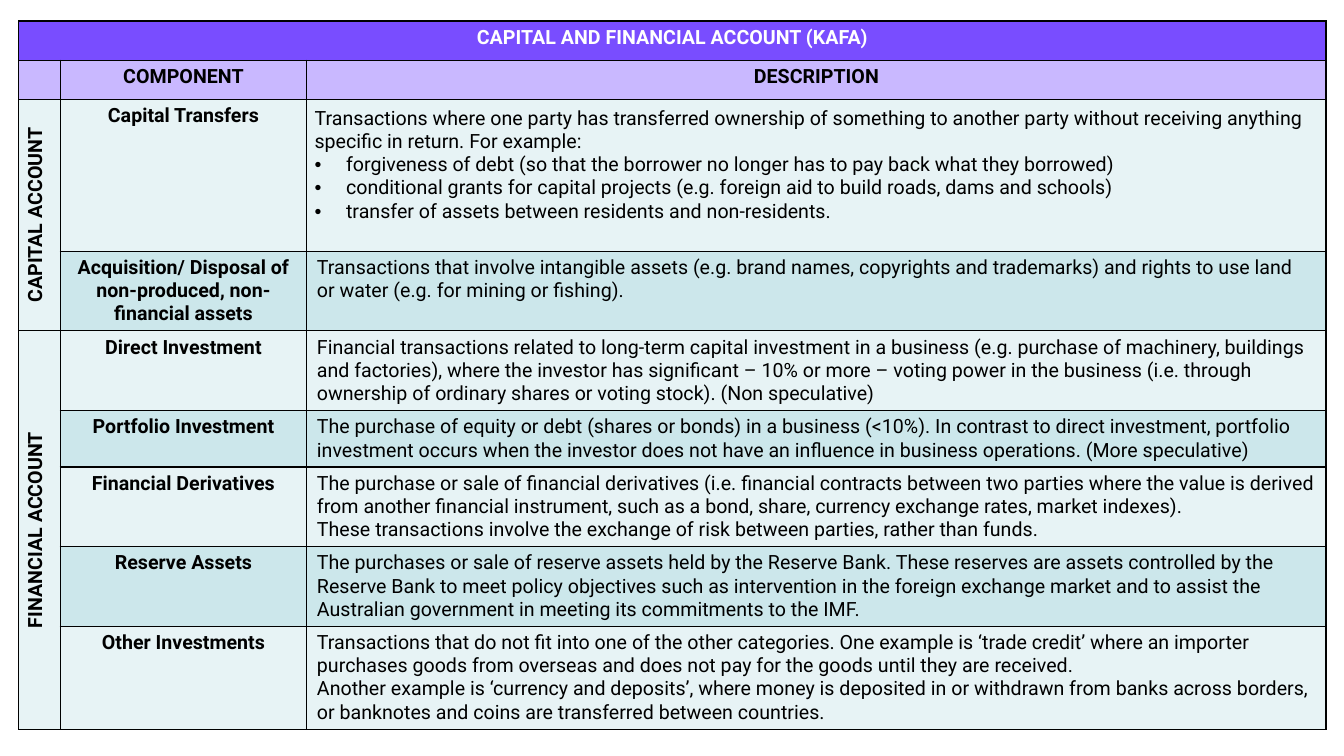
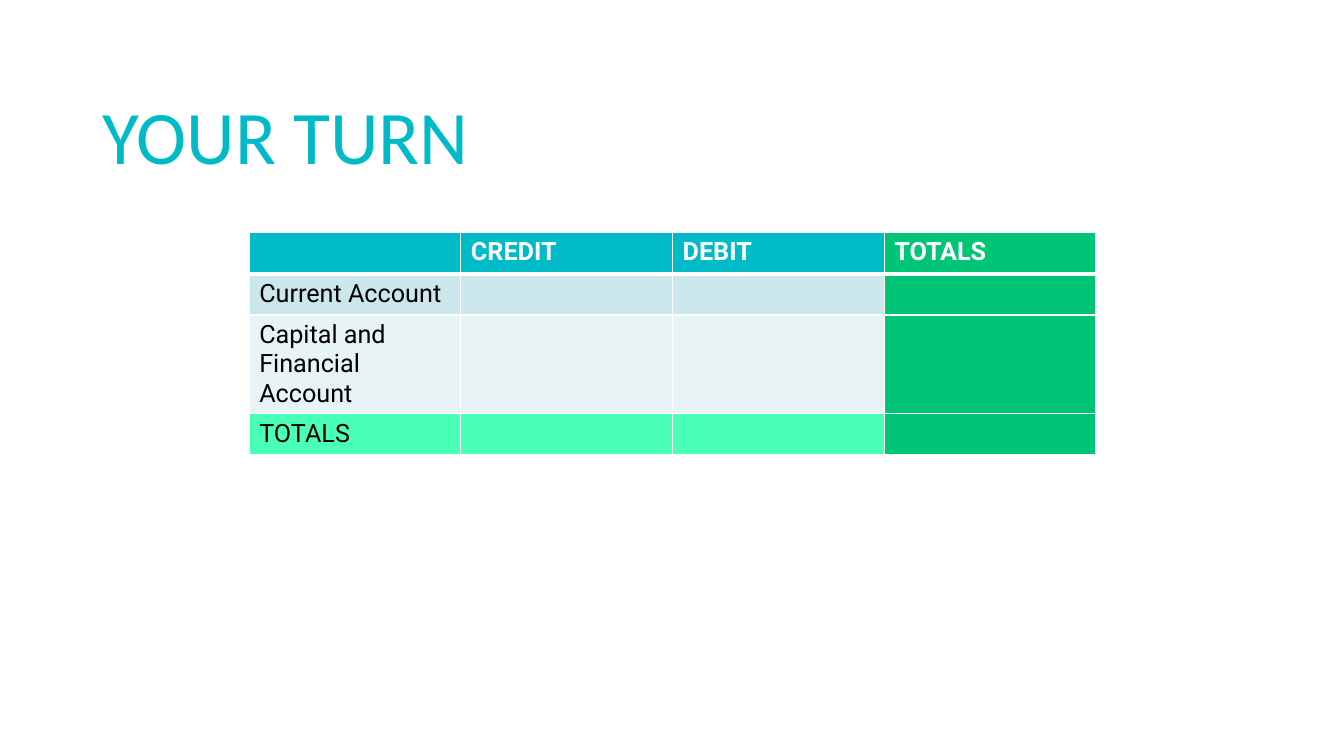
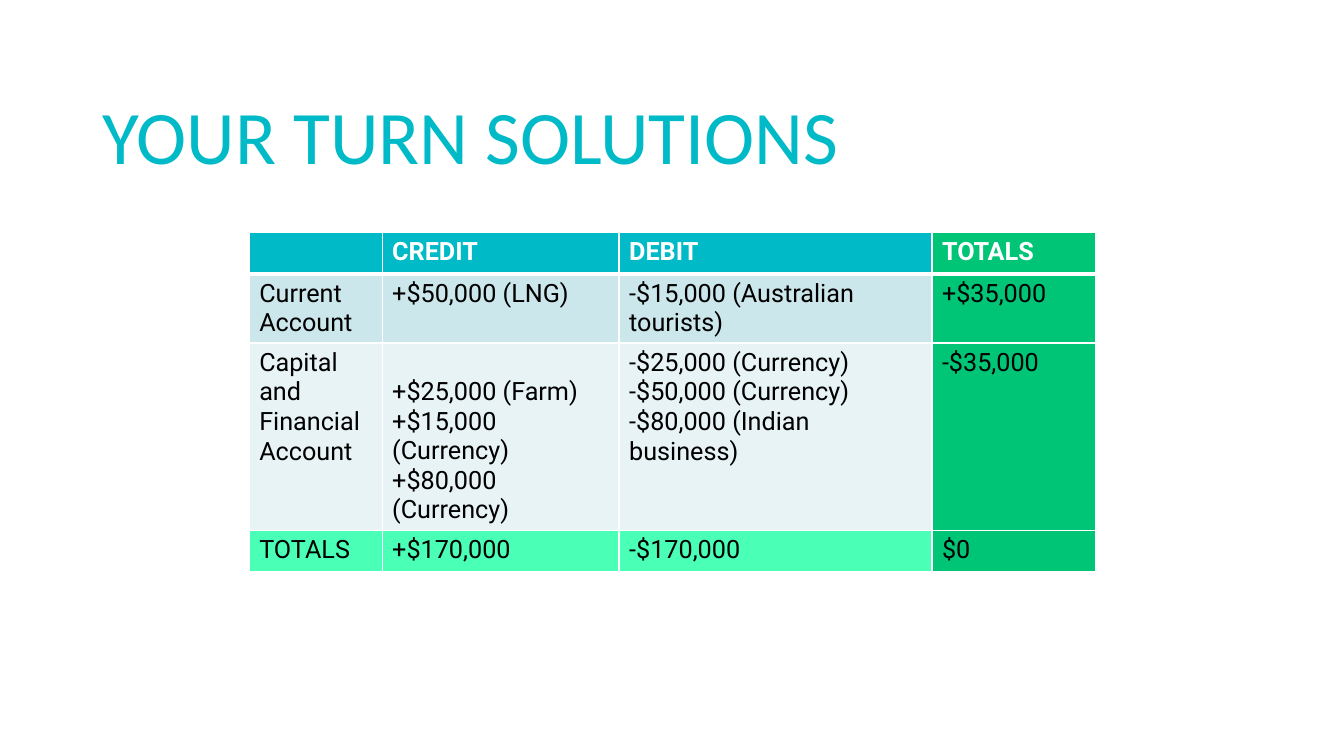
from lxml import etree
from pptx import Presentation
from pptx.dml.color import RGBColor
from pptx.enum.text import MSO_ANCHOR, PP_ALIGN
from pptx.oxml.ns import qn
from pptx.util import Pt

LEFT, CENTER = PP_ALIGN.LEFT, PP_ALIGN.CENTER
BOTTOM = MSO_ANCHOR.BOTTOM
TITLE_ONLY, BLANK = 5, 6

BLACK, WHITE = "000000", "FFFFFF"
PURPLE, LILAC = "794DFF", "C9B8FF"
TEAL, GREEN, MINT = "00BAC8", "00C577", "4AFFB6"
PALE, MIST = "E7F3F5", "CCE7EB"

TITLE_BOX = (66, 29, 828, 104)
KAFA_BOX = (13.5, 15)
KAFA_COLUMNS = (29.5, 176.25, 728)
KAFA_ROWS = (28, 28, 108.5, 56.5, 56.5, 40, 56.5, 56.5, 73.5)
TURN_BOX = (178, 166)
BULLET_INDENT = 22.5

TRANSFER_EXAMPLES = (
    "forgiveness of debt (so that the borrower no longer has to pay back what they borrowed)",
    "conditional grants for capital projects (e.g. foreign aid to build roads, dams and schools)",
    "transfer of assets between residents and non-residents.",
)
# Account, then its components with their descriptions
ACCOUNTS = (
    ("CAPITAL ACCOUNT", (
        ("Capital Transfers", (
            "Transactions where one party has transferred ownership of something to another party "
            "without receiving anything specific in return. For example:",)),
        ("Acquisition/ Disposal of non-produced, non-financial assets", (
            "Transactions that involve intangible assets (e.g. brand names, copyrights and trademarks) "
            "and rights to use land or water (e.g. for mining or fishing).",)),
    )),
    ("FINANCIAL ACCOUNT", (
        ("Direct Investment", (
            "Financial transactions related to long-term capital investment in a business (e.g. purchase "
            "of machinery, buildings and factories), where the investor has significant – 10% or more – "
            "voting power in the business (i.e. through ownership of ordinary shares or voting stock). "
            "(Non speculative)",)),
        ("Portfolio Investment", (
            "The purchase of equity or debt (shares or bonds) in a business (<10%). In contrast to direct "
            "investment, portfolio investment occurs when the investor does not have an influence in "
            "business operations. (More speculative)",)),
        ("Financial Derivatives", (
            "The purchase or sale of financial derivatives (i.e. financial contracts between two parties "
            "where the value is derived from another financial instrument, such as a bond, share, currency "
            "exchange rates, market indexes).",
            "These transactions involve the exchange of risk between parties, rather than funds.")),
        ("Reserve Assets", (
            "The purchases or sale of reserve assets held by the Reserve Bank. These reserves are assets "
            "controlled by the Reserve Bank to meet policy objectives such as intervention in the foreign "
            "exchange market and to assist the Australian government in meeting its commitments to the "
            "IMF.",)),
        ("Other Investments", (
            "Transactions that do not fit into one of the other categories. One example is ‘trade credit’ "
            "where an importer purchases goods from overseas and does not pay for the goods until they are "
            "received.",
            "Another example is ‘currency and deposits’, where money is deposited in or withdrawn from "
            "banks across borders, or banknotes and coins are transferred between countries.")),
    )),
)

TURN_HEADER = ("", "CREDIT", "DEBIT", "TOTALS")
TURN_LABELS = ("Current Account", "Capital and Financial Account", "TOTALS")
SOLUTIONS = (
    ("+$50,000 (LNG)", "-$15,000 (Australian tourists)", "+$35,000"),
    (("+$25,000 (Farm)", "+$15,000 (Currency)", "+$80,000 (Currency)"),
     ("-$25,000 (Currency)", "-$50,000 (Currency)", "-$80,000 (Indian business)"),
     "-$35,000"),
    ("+$170,000", "-$170,000", "$0"),
)


def rgb(colour):
    return RGBColor.from_string(colour)


def write(frame, text, bullets=(), size=18, font="Roboto", colour=BLACK, bold=False,
          align=LEFT, spacing=None):
    """Fill a text frame with one paragraph for each string, then the bullets."""
    lines = (text,) if isinstance(text, str) else text
    for index, line in enumerate((*lines, *bullets)):
        paragraph = frame.paragraphs[0] if index == 0 else frame.add_paragraph()
        paragraph.alignment = align
        if spacing:
            paragraph.line_spacing = spacing
        if index >= len(lines):
            properties = paragraph._p.get_or_add_pPr()
            properties.set("marL", str(Pt(BULLET_INDENT)))
            properties.set("indent", str(-Pt(BULLET_INDENT)))
            etree.SubElement(properties, qn("a:buFont"), typeface="Arial")
            etree.SubElement(properties, qn("a:buChar"), char="•")
        if not line:
            etree.SubElement(paragraph._p, qn("a:endParaRPr"), sz=str(size * 100))
            continue
        run = paragraph.add_run()
        run.text = line
        run.font.size, run.font.name, run.font.bold = Pt(size), font, bold
        run.font.color.rgb = rgb(colour)


def add_title(slide, text):
    title = slide.shapes.title
    title.left, title.top, title.width, title.height = map(Pt, TITLE_BOX)
    title.text_frame.vertical_anchor = BOTTOM
    write(title.text_frame, text, size=54, font="Calibri", colour=TEAL, spacing=0.9)


def add_grid(slide, box, columns, rows):
    """Add a plain table at (left, top) with the given column widths and row heights."""
    table = slide.shapes.add_table(len(rows), len(columns), *map(Pt, box),
                                   Pt(sum(columns)), Pt(sum(rows))).table
    table.first_row = table.horz_banding = False
    for column, width in zip(table.columns, columns):
        column.width = Pt(width)
    for row, height in zip(table.rows, rows):
        row.height = Pt(height)
    return table


def fill_cell(cell, text, fill, border, top=1, bottom=1, **text_format):
    properties = cell._tc.get_or_add_tcPr()
    for side, width in (("L", 1), ("R", 1), ("T", top), ("B", bottom)):
        line = etree.SubElement(properties, qn(f"a:ln{side}"), w=str(Pt(width)))
        solid = etree.SubElement(line, qn("a:solidFill"))
        etree.SubElement(solid, qn("a:srgbClr"), val=border)
    cell.fill.solid()
    cell.fill.fore_color.rgb = rgb(fill)
    write(cell.text_frame, text, **text_format)


def add_kafa_table(slide, box):
    table = add_grid(slide, box, KAFA_COLUMNS, KAFA_ROWS)

    def put(row, column, text, fill, bold=True, align=CENTER, **text_format):
        cell = table.cell(row, column)
        fill_cell(cell, text, fill, BLACK, size=14, bold=bold, align=align, **text_format)
        return cell

    for column, heading in enumerate(("", "COMPONENT", "DESCRIPTION")):
        banner = "" if column else "CAPITAL AND FINANCIAL ACCOUNT (KAFA)"
        put(0, column, banner, PURPLE, colour=WHITE)
        put(1, column, heading, LILAC)
    table.cell(0, 0).merge(table.cell(0, 2))

    row = 2
    for account, components in ACCOUNTS:
        first = row
        for component, description in components:
            fill = MIST if (row - first) % 2 else PALE
            put(row, 0, account if row == first else "", PALE)
            put(row, 1, component, fill)
            examples = TRANSFER_EXAMPLES if component == "Capital Transfers" else ()
            described = put(row, 2, description, fill, bold=False, align=LEFT, bullets=examples)
            if examples:
                described.margin_left = described.margin_right = Pt(5.5)
                described.margin_top = described.margin_bottom = Pt(5.5)
            row += 1
        table.cell(first, 0).merge(table.cell(row - 1, 0))
        table.cell(first, 0)._tc.get_or_add_tcPr().set("vert", "vert270")


def add_turn_table(slide, box, columns, rows, entries):
    table = add_grid(slide, box, columns, rows)
    body = [(label, *values) for label, values in zip(TURN_LABELS, entries)]
    for row, (texts, fill) in enumerate(zip((TURN_HEADER, *body), (TEAL, MIST, PALE, MINT))):
        header = row == 0
        for column, text in enumerate(texts):
            fill_cell(table.cell(row, column), text, GREEN if column == 3 else fill, WHITE,
                      top=3 if row == 1 else 1, bottom=3 if header else 1,
                      colour=WHITE if header else BLACK, bold=header)
    return table


def main():
    deck = Presentation()
    deck.slide_width, deck.slide_height = Pt(960), Pt(540)

    def new_slide(layout):
        return deck.slides.add_slide(deck.slide_layouts[layout])

    add_kafa_table(new_slide(BLANK), KAFA_BOX)

    turn = new_slide(TITLE_ONLY)
    add_title(turn, "YOUR TURN")
    add_turn_table(turn, TURN_BOX, (151.25,) * 4, (29.5, 29.5, 70.5, 29.5), (("",) * 3,) * 3)

    solutions = new_slide(TITLE_ONLY)
    add_title(solutions, "YOUR TURN SOLUTIONS")
    table = add_turn_table(solutions, TURN_BOX, (95, 169.25, 223.5, 117.25),
                           (29.5, 49.5, 134, 29.5), SOLUTIONS)
    table.cell(2, 1).margin_top = Pt(24.5)  # credits start one line lower

    deck.save("out.pptx")


if __name__ == "__main__":
    main()
